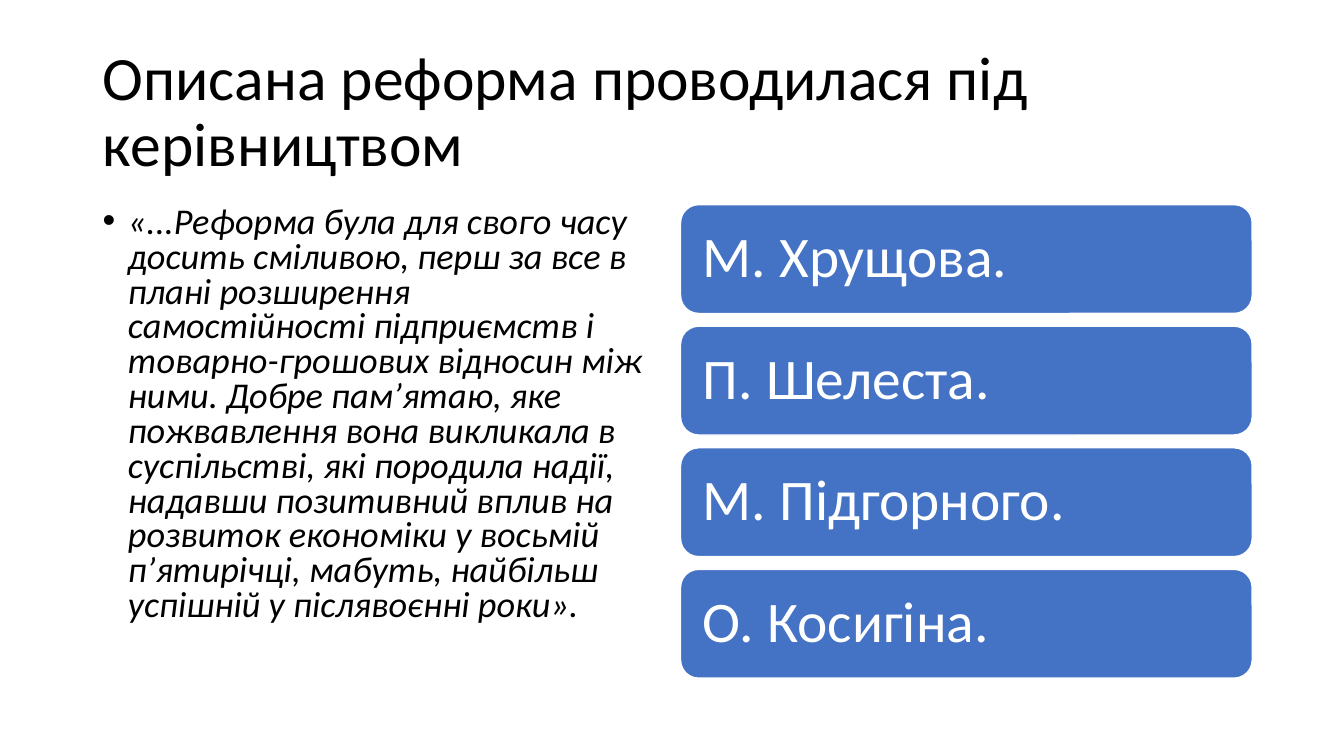
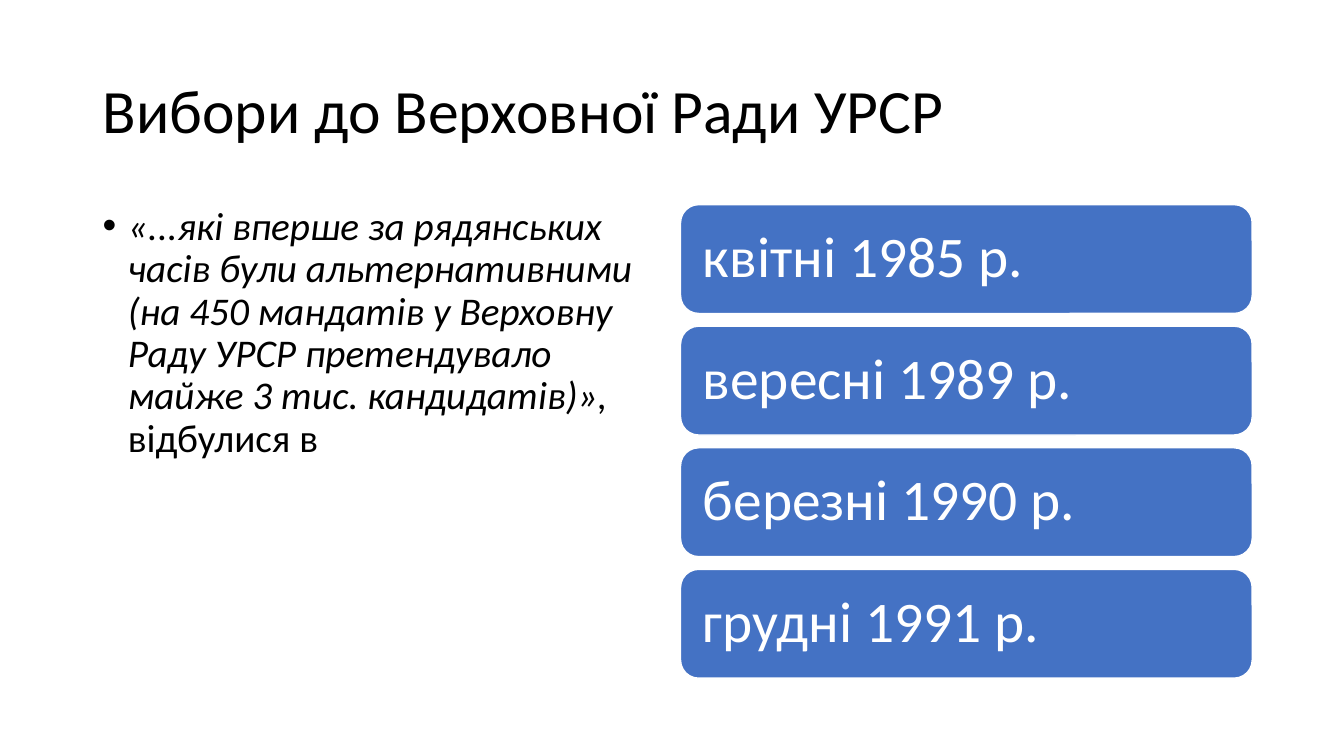
from dataclasses import dataclass

import pptx
import pptx.dml.color
import pptx.enum.shapes
import pptx.enum.text
import pptx.util
from lxml import etree

Inches = pptx.util.Inches
Pt = pptx.util.Pt
RGB = pptx.dml.color.RGBColor.from_string
Anchor = pptx.enum.text.MSO_ANCHOR
TITLE_ONLY = 5


@dataclass(frozen=True)
class Theme:
    font: str = "Calibri"
    text: str = "000000"
    accent: str = "4472C4"
    light: str = "FFFFFF"
    title_size: float = 44
    quote_size: float = 28
    option_size: float = 41


def write(tf, runs, *, font, size, color, spacing=0.9, anchor=Anchor.TOP,
          margins=(0.1, 0.05), bullet=None):
    """Fill a text frame with one paragraph of (text, italic) runs."""
    tf.word_wrap = True
    tf.auto_size = pptx.enum.text.MSO_AUTO_SIZE.NONE
    tf.vertical_anchor = anchor
    tf.margin_left = tf.margin_right = Inches(margins[0])
    tf.margin_top = tf.margin_bottom = Inches(margins[1])
    p = tf.paragraphs[0]
    p.alignment = pptx.enum.text.PP_ALIGN.LEFT
    p.line_spacing = spacing
    if bullet:
        pPr = p._p.get_or_add_pPr()
        pPr.set("marL", str(Inches(0.25)))
        pPr.set("indent", str(-Inches(0.25)))
        ns = pptx.oxml.ns.qn
        etree.SubElement(pPr, ns("a:buFont")).set("typeface", "Arial")
        etree.SubElement(pPr, ns("a:buChar")).set("char", bullet)
    for text, italic in runs:
        r = p.add_run()
        r.text = text
        r.font.name = font
        r.font.size = Pt(size)
        r.font.italic = italic
        r.font.color.rgb = RGB(color)


class QuizDeck:
    def __init__(self, theme):
        self.theme = theme
        self.prs = pptx.Presentation()
        self.prs.slide_width = Inches(13.33)
        self.prs.slide_height = Inches(7.5)
        self.s = None

    def new_slide(self, title):
        self.s = self.prs.slides.add_slide(self.prs.slide_layouts[TITLE_ONLY])
        sp = self.s.shapes.title
        sp.left, sp.top = Inches(0.92), Inches(0.4)
        sp.width, sp.height = Inches(11.5), Inches(1.45)
        write(sp.text_frame, [(title, False)], font=self.theme.font,
              size=self.theme.title_size, color=self.theme.text,
              anchor=Anchor.MIDDLE)

    def quote(self, runs, size=None, spacing=0.9):
        sp = self.s.shapes.add_textbox(Inches(0.92), Inches(2),
                                       Inches(5.67), Inches(4.76))
        write(sp.text_frame, runs, font=self.theme.font,
              size=size or self.theme.quote_size, color=self.theme.text,
              spacing=spacing, bullet="•")

    def options(self, labels, top=2.03, height=1.08, pitch=1.206):
        """Stack one rounded box per answer in the right column."""
        for i, label in enumerate(labels):
            sp = self.s.shapes.add_shape(
                pptx.enum.shapes.MSO_SHAPE.ROUNDED_RECTANGLE,
                Inches(6.75), Inches(top + i * pitch),
                Inches(5.67), Inches(height))
            sp.shadow.inherit = False
            sp.fill.solid()
            sp.fill.fore_color.rgb = RGB(self.theme.accent)
            sp.line.color.rgb = RGB(self.theme.light)
            sp.line.width = Pt(1)
            write(sp.text_frame, [(label, False)], font=self.theme.font,
                  size=self.theme.option_size, color=self.theme.light,
                  anchor=Anchor.MIDDLE, margins=(0.17, 0.17))


def main():
    deck = QuizDeck(Theme())

    deck.new_slide("Описана реформа проводилася під керівництвом")
    deck.quote([(
        "«...Реформа була для свого часу досить сміливою, перш за все в плані "
        "розширення самостійності підприємств і товарно-грошових відносин між "
        "ними. Добре пам’ятаю, яке пожвавлення вона викликала в суспільстві, "
        "які породила надії, надавши позитивний вплив на розвиток економіки у "
        "восьмій п’ятирічці, мабуть, найбільш успішній у післявоєнні роки».",
        True)], size=25.9, spacing=0.8)
    deck.options(["М. Хрущова.", "П. Шелеста.", "М. Підгорного.", "О. Косигіна."])

    deck.new_slide("Вибори до Верховної Ради УРСР")
    deck.quote([
        ("«...які вперше за рядянських часів були альтернативними (на 450 "
         "мандатів у Верховну Раду УРСР претендувало майже 3 тис. "
         "кандидатів)», ", True),
        ("відбулися в", False)])
    deck.options(["квітні 1985 р.", "вересні 1989 р.", "березні 1990 р.",
                  "грудні 1991 р."])

    deck.prs.save("out.pptx")


if __name__ == "__main__":
    main()
